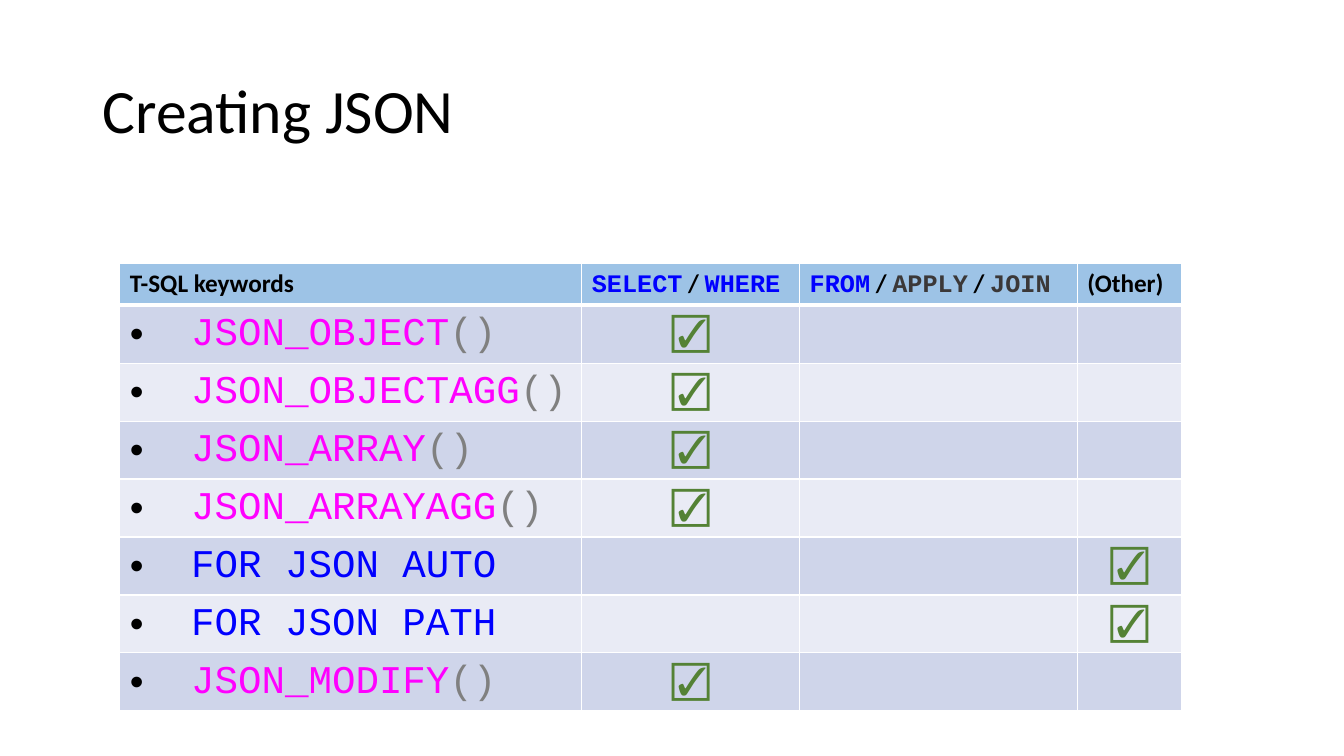
from dataclasses import dataclass

from lxml import etree
from pptx import Presentation
from pptx import util as u
from pptx.dml.color import RGBColor
from pptx.enum import text
from pptx.oxml.ns import qn


@dataclass(frozen=True)
class Theme:
    sans: str = "Calibri"
    bullet: str = "Arial"
    code: str = "Courier New"
    title_size: int = 44
    header_size: int = 18
    body_size: int = 28
    black: str = "000000"
    keyword: str = "0000FF"
    function: str = "FF00FF"
    bracket: str = "808080"
    operator: str = "3B3838"
    check: str = "548235"
    rule: str = "FFFFFF"
    header_fill: str = "9DC3E6"
    bands: tuple = ("CFD5EA", "E9EBF5")


T = Theme()

TITLE = "Creating JSON"
SLASH = (" / ", T.sans, T.black)
HEADERS = [
    [("T-SQL keywords", T.sans, T.black)],
    [("SELECT", T.code, T.keyword), SLASH, ("WHERE", T.code, T.keyword)],
    [("FROM", T.code, T.keyword), SLASH, ("APPLY", T.code, T.operator),
     SLASH, ("JOIN", T.code, T.operator)],
    [("(Other)", T.sans, T.black)],
]
SELECT_WHERE, OTHER = 1, 3
KEYWORDS = [
    ("JSON_OBJECT()", SELECT_WHERE),
    ("JSON_OBJECTAGG()", SELECT_WHERE),
    ("JSON_ARRAY()", SELECT_WHERE),
    ("JSON_ARRAYAGG()", SELECT_WHERE),
    ("FOR JSON AUTO", OTHER),
    ("FOR JSON PATH", OTHER),
    ("JSON_MODIFY()", SELECT_WHERE),
]
COLUMN_WIDTHS = [u.Cm(w) for w in (11.64, 5.49, 7, 2.62)]
HEADER_HEIGHT, ROW_HEIGHT = u.Cm(1.03), u.Cm(1.46)
HEADER_RULE = u.Pt(3)
INDENT = u.Cm(1.27)


def write_runs(p, runs, size, bold=False):
    for content, font, color in runs:
        r = p.add_run()
        r.text = content
        r.font.name, r.font.size, r.font.bold = font, u.Pt(size), bold
        r.font.color.rgb = RGBColor.from_string(color)


def add_bullet(p):
    pPr = p._p.get_or_add_pPr()
    pPr.set("marL", str(INDENT))
    pPr.set("indent", str(-INDENT))
    etree.SubElement(pPr, qn("a:buFont")).set("typeface", T.bullet)
    etree.SubElement(pPr, qn("a:buChar")).set("char", "•")


def add_bottom_rule(cell):
    line = etree.Element(qn("a:lnB"), w=str(HEADER_RULE))
    fill = etree.SubElement(line, qn("a:solidFill"))
    etree.SubElement(fill, qn("a:srgbClr"), val=T.rule)
    cell._tc.get_or_add_tcPr().insert(0, line)


def keyword_runs(keyword):
    """Split a keyword into a leading gap, its name and any brackets."""
    gap = (" ", T.bullet, T.black)
    if keyword.endswith("()"):
        return [gap, (keyword[:-2], T.code, T.function), ("()", T.code, T.bracket)]
    return [gap, (keyword, T.code, T.keyword)]


def fill_row(table, row, color):
    for cell in table.rows[row].cells:
        cell.fill.solid()
        cell.fill.fore_color.rgb = RGBColor.from_string(color)


def add_title(s):
    sp = s.shapes.title
    sp.left, sp.top, sp.width, sp.height = (u.Cm(v) for v in (2.33, 1.01, 29.21, 3.68))
    tf = sp.text_frame
    tf.vertical_anchor = text.MSO_ANCHOR.MIDDLE
    p = tf.paragraphs[0]
    p.alignment, p.line_spacing = text.PP_ALIGN.LEFT, 0.9
    write_runs(p, [(TITLE, T.sans, T.black)], T.title_size)


def add_keyword_table(s):
    height = HEADER_HEIGHT + ROW_HEIGHT * len(KEYWORDS)
    table = s.shapes.add_table(len(KEYWORDS) + 1, len(HEADERS), u.Cm(3.02), u.Cm(6.64),
                               sum(COLUMN_WIDTHS), height).table
    table.rows[0].height = HEADER_HEIGHT
    fill_row(table, 0, T.header_fill)
    for col, (width, runs) in enumerate(zip(COLUMN_WIDTHS, HEADERS)):
        table.columns[col].width = width
        cell = table.cell(0, col)
        add_bottom_rule(cell)
        write_runs(cell.text_frame.paragraphs[0], runs, T.header_size, True)

    for row, (keyword, checked) in enumerate(KEYWORDS, 1):
        table.rows[row].height = ROW_HEIGHT
        fill_row(table, row, T.bands[(row - 1) % 2])
        p = table.cell(row, 0).text_frame.paragraphs[0]
        add_bullet(p)
        write_runs(p, keyword_runs(keyword), T.body_size)
        p = table.cell(row, checked).text_frame.paragraphs[0]
        p.alignment = text.PP_ALIGN.CENTER
        write_runs(p, [("☑", T.bullet, T.check)], T.body_size)


def main():
    prs = Presentation()
    prs.slide_width, prs.slide_height = u.Cm(33.87), u.Cm(19.05)
    s = prs.slides.add_slide(prs.slide_layouts[5])
    add_title(s)
    add_keyword_table(s)
    prs.save("out.pptx")


if __name__ == "__main__":
    main()
